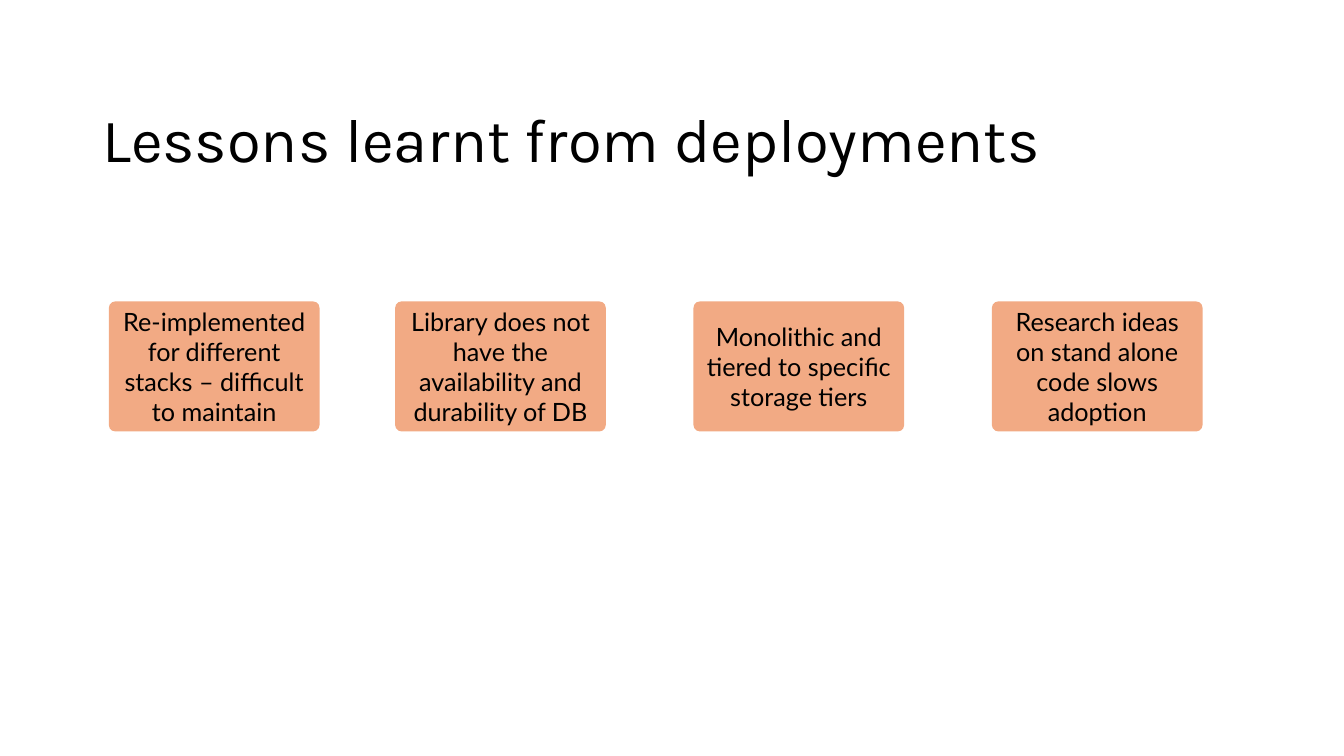
"""Build the slide on lessons learnt from deployments."""
import pptx
import pptx.dml.color
import pptx.enum.shapes
import pptx.enum.text
import pptx.util

Pt = pptx.util.Pt
BLACK = pptx.dml.color.RGBColor(0x00, 0x00, 0x00)
ORANGE = pptx.dml.color.RGBColor(0xF2, 0xAA, 0x84)

LESSONS = [
    (77.76, "Re-implemented for different stacks – difficult to maintain"),
    (282.24, "Library does not have the availability and durability of DB"),
    (495.36, "Monolithic and tiered to specific storage tiers"),
    (708.48, "Research ideas on stand alone code slows adoption"),
]


class LessonsSlide:
    title_font = "Karla"
    card_font = "Lato"

    def __init__(self, slide):
        self.slide = slide

    def set_text(self, shape, text, font_name, size, alignment):
        text_frame = shape.text_frame
        text_frame.word_wrap = True
        text_frame.vertical_anchor = pptx.enum.text.MSO_ANCHOR.MIDDLE
        text_frame.text = text
        paragraph = text_frame.paragraphs[0]
        paragraph.alignment = alignment
        font = paragraph.runs[0].font
        font.name = font_name
        font.size = Pt(size)
        font.color.rgb = BLACK
        return paragraph

    def add_title(self, text, left, top, width, height):
        shape = self.slide.shapes.add_textbox(Pt(left), Pt(top), Pt(width), Pt(height))
        paragraph = self.set_text(shape, text, self.title_font, 44, pptx.enum.text.PP_ALIGN.LEFT)
        paragraph.line_spacing = 0.9

    def add_card(self, text, left, top, width, height):
        shape = self.slide.shapes.add_shape(
            pptx.enum.shapes.MSO_SHAPE.ROUNDED_RECTANGLE,
            Pt(left), Pt(top), Pt(width), Pt(height))
        shape.adjustments[0] = 0.05
        shape.shadow.inherit = False
        shape.fill.solid()
        shape.fill.fore_color.rgb = ORANGE
        shape.line.fill.background()
        self.set_text(shape, text, self.card_font, 18, pptx.enum.text.PP_ALIGN.CENTER)


def main():
    presentation = pptx.Presentation()
    presentation.slide_width = Pt(960)
    presentation.slide_height = Pt(540)
    slide = presentation.slides.add_slide(presentation.slide_layouts[6])
    lessons_slide = LessonsSlide(slide)
    lessons_slide.add_title("Lessons learnt from deployments", 66, 49.7, 848, 104.4)
    for left, lesson in LESSONS:
        lessons_slide.add_card(lesson, left, 215.3, 150.5, 92.9)
    presentation.save("out.pptx")


if __name__ == "__main__":
    main()
